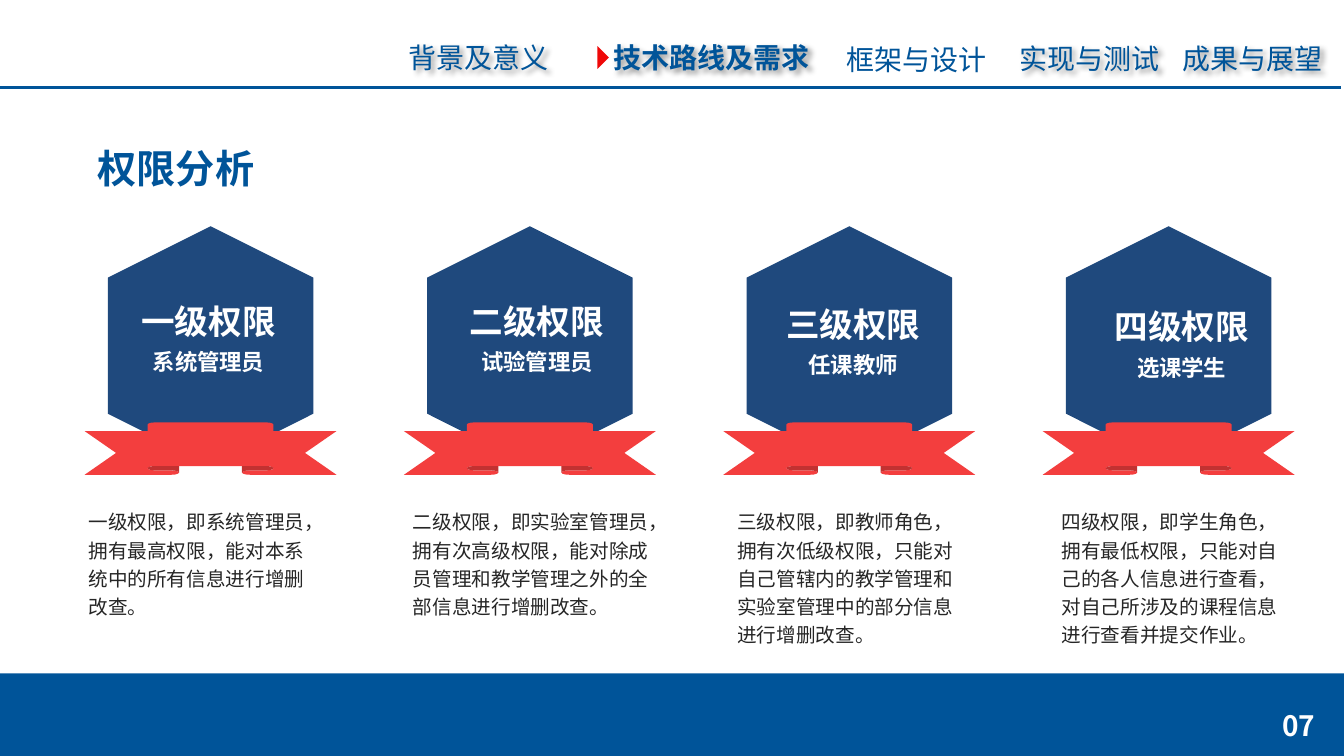
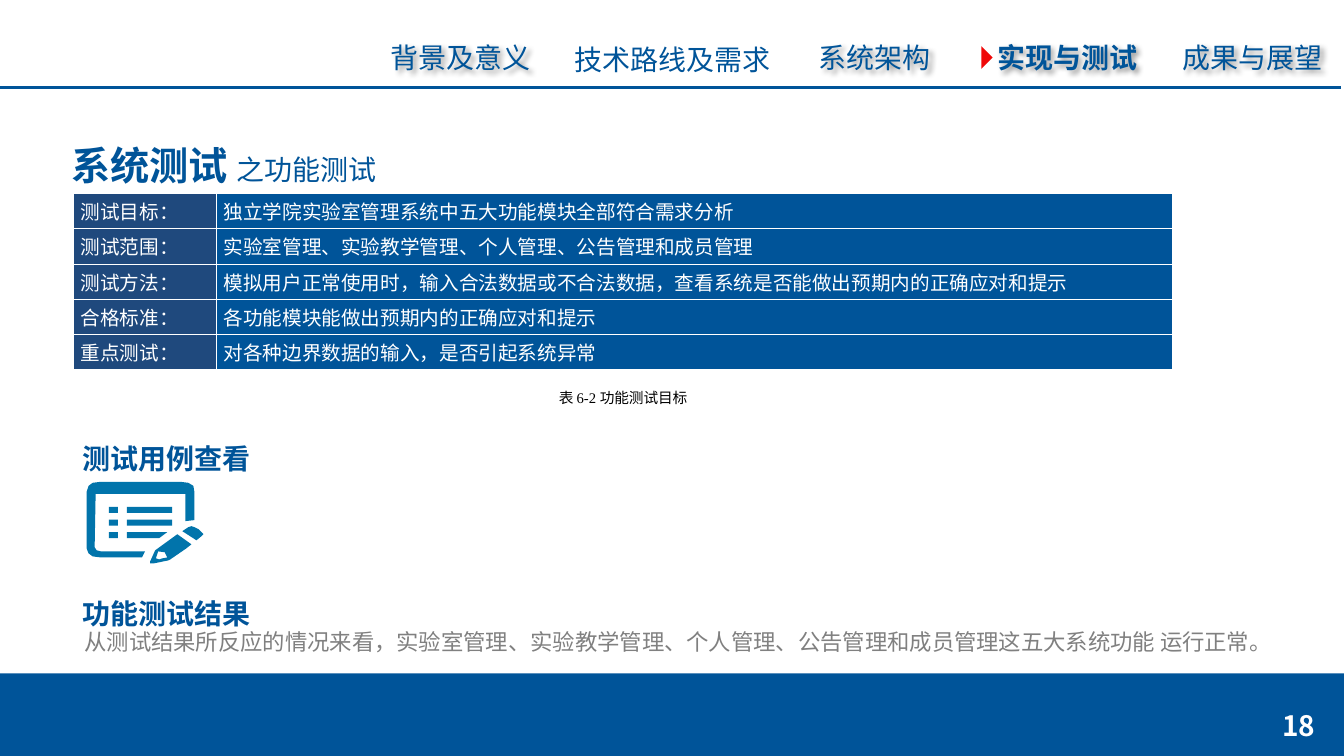
from dataclasses import dataclass

from lxml import etree
from pptx import Presentation
from pptx.dml.color import RGBColor
from pptx.enum.lang import MSO_LANGUAGE_ID
from pptx.enum.shapes import MSO_CONNECTOR, MSO_SHAPE
from pptx.enum.text import MSO_ANCHOR, MSO_AUTO_SIZE, PP_ALIGN
from pptx.oxml import parse_xml
from pptx.oxml.ns import nsdecls, qn
from pptx.util import Inches, Pt

RECTANGLE, HEXAGON = MSO_SHAPE.RECTANGLE, MSO_SHAPE.HEXAGON
RIBBON, TRIANGLE = MSO_SHAPE.UP_RIBBON, MSO_SHAPE.RIGHT_TRIANGLE
LEFT, CENTER = PP_ALIGN.LEFT, PP_ALIGN.CENTER
TOP, MIDDLE = MSO_ANCHOR.TOP, MSO_ANCHOR.MIDDLE
CHINESE = MSO_LANGUAGE_ID.SIMPLIFIED_CHINESE

SLIDE_WIDTH, SLIDE_HEIGHT = 13.34, 7.5
BAND_HEIGHT = 0.82
FONT = "Noto Sans CJK SC"
BLUE, NAVY, RED, MARKER_RED = "005499", "1F497D", "F33E3E", "EF0808"
ICON_BLUE, DARK, GREY, BLACK, WHITE = "0174AB", "262626", "808080", "000000", "FFFFFF"
NAVIGATION_SIZE = 20

CARD_LEFT, CARD_PITCH = 0.84, 3.17
DESCRIPTION_LEFT, DESCRIPTION_PITCH = 0.78, 3.22
HEXAGON_LENGTH, HEXAGON_BREADTH = 2.37, 2.04
RIBBON_WIDTH, RIBBON_HEIGHT = 2.5, 0.52
LABEL_WIDTH = 2.14


@dataclass(frozen=True)
class Box:
    left: float
    top: float
    width: float
    height: float

    def lengths(self):
        return [Inches(n) for n in (self.left, self.top, self.width, self.height)]


@dataclass(frozen=True)
class Style:
    size: float
    color: str = BLUE
    bold: bool = False
    font: str = FONT
    align: PP_ALIGN = LEFT
    spacing: float | None = None
    before: float | None = None


@dataclass(frozen=True)
class NavigationItem:
    text: str
    left: float
    top: float = 0.35
    active: bool = False
    shadow: bool = True


@dataclass(frozen=True)
class Card:
    level: str
    role: str
    label_center: float
    label_top: float
    description: tuple[str, str]
    description_width: float


TITLE = Style(28, bold=True, spacing=38)
SUBHEADING = Style(20, bold=True, spacing=38)
LEVEL = Style(24, WHITE, True, align=CENTER)
ROLE = Style(16, WHITE, True, align=CENTER, before=5)
DESCRIPTION = Style(14, DARK, spacing=20)
CELL = Style(14, WHITE, spacing=20)
CAPTION = Style(10.5, BLACK, font="Times New Roman", align=CENTER, spacing=20)
RESULT = Style(16, GREY, font="Arial")
PAGE_NUMBER = Style(20, WHITE, True, align=CENTER)

ANALYSIS_NAVIGATION = (
    NavigationItem("背景及意义", 3.96),
    NavigationItem("技术路线及需求", 5.99, active=True),
    NavigationItem("框架与设计", 8.3, 0.37, shadow=False),
    NavigationItem("实现与测试", 10.02, 0.36),
    NavigationItem("成果与展望", 11.64, 0.36),
)
TESTING_NAVIGATION = (
    NavigationItem("背景及意义", 3.78),
    NavigationItem("技术路线及需求", 5.6, 0.37, shadow=False),
    NavigationItem("系统架构", 8.03),
    NavigationItem("实现与测试", 9.8, active=True),
    NavigationItem("成果与展望", 11.64),
)
CARDS = (
    Card("一级权限", "系统管理员", 2.07, 2.94,
         ("一级权限，即系统管理员，", "拥有最高权限，能对本系统中的所有信息进行增删改查。"), 2.44),
    Card("二级权限", "试验管理员", 5.33, 2.94,
         ("二级权限，即实验室管理员，",
          "拥有次高级权限，能对除成员管理和教学管理之外的全部信息进行增删改查。"), 2.58),
    Card("三级权限", "任课教师", 8.47, 2.97,
         ("三级权限，即教师角色，",
          "拥有次低级权限，只能对自己管辖内的教学管理和实验室管理中的部分信息进行增删改查。"), 2.37),
    Card("四级权限", "选课学生", 11.73, 2.99,
         ("四级权限，即学生角色，",
          "拥有最低权限，只能对自己的各人信息进行查看，对自己所涉及的课程信息进行查看并提交作业。"), 2.37),
)
TEST_GOALS = (
    ("测试目标：", "独立学院实验室管理系统中五大功能模块全部符合需求分析"),
    ("测试范围：", "实验室管理、实验教学管理、个人管理、公告管理和成员管理"),
    ("测试方法：", "模拟用户正常使用时，输入合法数据或不合法数据，查看系统是否能做出预期内的正确应对和提示"),
    ("合格标准：", "各功能模块能做出预期内的正确应对和提示"),
    ("重点测试：", "对各种边界数据的输入，是否引起系统异常"),
)
TABLE_BOX = Box(0.73, 1.92, 10.91, 1.75)
TABLE_COLUMNS = (1.42, 9.49)

ICON_BOARD = (
    (1.44, 5.47), (1.41, 5.53), (1, 5.53), (0.92, 5.52), (0.88, 5.49), (0.86, 5.44),
    (0.86, 4.88), (0.88, 4.82), (0.92, 4.79), (1, 4.78), (1.79, 4.78), (1.87, 4.79),
    (1.92, 4.82), (1.93, 4.88), (1.93, 5.16), (1.84, 5.17), (1.84, 4.9), (0.95, 4.9),
    (0.94, 5.43), (0.96, 5.46), (1, 5.47),
)
ICON_PENCIL = (
    (1.76, 5.3), (1.9, 5.4), (1.85, 5.44), (1.69, 5.55), (1.67, 5.56), (1.52, 5.59),
    (1.49, 5.59), (1.49, 5.57), (1.54, 5.46),
)
ICON_PENCIL_TIP = (
    (1.57, 5.47), (1.55, 5.53), (1.55, 5.54), (1.58, 5.55), (1.61, 5.54), (1.66, 5.53),
    (1.64, 5.49), (1.64, 5.48),
)
ICON_PENCIL_END = (
    (1.81, 5.27), (1.87, 5.23), (1.9, 5.22), (1.93, 5.23), (1.97, 5.25), (2, 5.28),
    (2.02, 5.3), (2, 5.32), (1.95, 5.36),
)
ICON_LAST_LINE = ((1.26, 5.28), (1.66, 5.28), (1.58, 5.34), (1.26, 5.34))


def rgb(color: str) -> RGBColor:
    return RGBColor.from_string(color)


def format_paragraph(paragraph, style: Style) -> None:
    paragraph.alignment = style.align
    if style.spacing:
        paragraph.line_spacing = Pt(style.spacing)
    if style.before:
        paragraph.space_before = Pt(style.before)
    font = paragraph.font
    font.size, font.bold, font.name = Pt(style.size), style.bold, style.font
    font.color.rgb = rgb(style.color)
    font.language_id = CHINESE
    latin = paragraph._p.pPr.find(qn("a:defRPr")).find(qn("a:latin"))
    latin.addnext(parse_xml(f'<a:ea {nsdecls("a")} typeface="{FONT}"/>'))


def write(text_frame, *lines: tuple[str, Style], anchor=TOP) -> None:
    text_frame.word_wrap = True
    text_frame.auto_size = MSO_AUTO_SIZE.NONE
    text_frame.vertical_anchor = anchor
    for index, (text, style) in enumerate(lines):
        paragraph = text_frame.add_paragraph() if index else text_frame.paragraphs[0]
        paragraph.text = text
        format_paragraph(paragraph, style)


def add_text(slide, box: Box, *lines: tuple[str, Style]):
    shape = slide.shapes.add_textbox(*box.lengths())
    write(shape.text_frame, *lines)
    return shape


def paint(shape, color: str) -> None:
    shape.shadow.inherit = False
    shape.fill.solid()
    shape.fill.fore_color.rgb = rgb(color)
    shape.line.fill.background()


def add_filled(slide, preset, box: Box, color: str, rotation: float = 0):
    shape = slide.shapes.add_shape(preset, *box.lengths())
    paint(shape, color)
    shape.rotation = rotation
    return shape


def add_outline(slide, color: str, *contours) -> None:
    """Draw one filled freeform; contours after the first cut holes."""
    outer, *holes = [[(Inches(x), Inches(y)) for x, y in contour] for contour in contours]
    builder = slide.shapes.build_freeform(*outer[0])
    builder.add_line_segments(outer[1:])
    for hole in holes:
        builder.move_to(*hole[0])
        builder.add_line_segments(hole[1:])
    paint(builder.convert_to_shape(), color)


def add_text_shadow(shape) -> None:
    shape._element.spPr.append(parse_xml(
        f'<a:effectLst {nsdecls("a")}><a:outerShdw blurRad="50800" dist="38100" dir="2700000">'
        '<a:srgbClr val="000000"><a:alpha val="40000"/></a:srgbClr></a:outerShdw></a:effectLst>'))


def add_navigation(slide, items: tuple[NavigationItem, ...]) -> None:
    for item in items:
        width = len(item.text) * NAVIGATION_SIZE / 72 + 0.25
        shape = add_text(slide, Box(item.left, item.top, width, 0.44),
                         (item.text, Style(NAVIGATION_SIZE, bold=item.active)))
        if item.shadow:
            add_text_shadow(shape)
        if item.active:
            add_filled(slide, TRIANGLE, Box(item.left - 0.14, 0.49, 0.16, 0.16), MARKER_RED, 225)


def add_base_slide(presentation, navigation, title: str, title_box: Box, page: str):
    """Add a slide with the shared rule, band, navigation, title and page number."""
    slide = presentation.slides.add_slide(presentation.slide_layouts.get_by_name("Title Only"))
    rule = slide.shapes.add_connector(
        MSO_CONNECTOR.STRAIGHT, 0, Inches(0.87), Inches(13.31), Inches(0.87))
    rule.line.color.rgb, rule.line.width = rgb(BLUE), Pt(2.5)
    etree.SubElement(rule._element.spPr, qn("a:effectLst"))
    add_filled(slide, RECTANGLE,
               Box(0, SLIDE_HEIGHT - BAND_HEIGHT, SLIDE_WIDTH, BAND_HEIGHT), BLUE)
    add_navigation(slide, navigation)
    heading = slide.shapes.title
    heading.left, heading.top, heading.width, heading.height = title_box.lengths()
    write(heading.text_frame, (title, TITLE))
    corner = add_filled(slide, RECTANGLE,
                        Box(SLIDE_WIDTH - 0.9, SLIDE_HEIGHT - 0.6, 0.9, 0.6), BLUE)
    write(corner.text_frame, (page, PAGE_NUMBER), anchor=MIDDLE)
    return slide


def add_card(slide, index: int, card: Card) -> None:
    left = CARD_LEFT + index * CARD_PITCH
    hexagon_left = left + (RIBBON_WIDTH - HEXAGON_LENGTH) / 2
    add_filled(slide, HEXAGON, Box(hexagon_left, 2.41, HEXAGON_LENGTH, HEXAGON_BREADTH), NAVY, 90)
    add_filled(slide, RIBBON, Box(left, 4.19, RIBBON_WIDTH, RIBBON_HEIGHT), RED)
    add_text(slide, Box(card.label_center - LABEL_WIDTH / 2, card.label_top, LABEL_WIDTH, 0.84),
             (card.level, LEVEL), (card.role, ROLE))
    add_text(slide, Box(DESCRIPTION_LEFT + index * DESCRIPTION_PITCH, 4.97,
                        card.description_width, 1.63),
             *((line, DESCRIPTION) for line in card.description))


def add_borders(cell, color: str) -> None:
    properties = cell._tc.get_or_add_tcPr()
    for side in "LRTB":
        properties.append(parse_xml(
            f'<a:ln{side} {nsdecls("a")} w="12700"><a:solidFill>'
            f'<a:srgbClr val="{color}"/></a:solidFill></a:ln{side}>'))


def add_goal_table(slide) -> None:
    table = slide.shapes.add_table(
        len(TEST_GOALS), len(TABLE_COLUMNS), *TABLE_BOX.lengths()).table
    table.first_row = table.horz_banding = False
    for column, width in zip(table.columns, TABLE_COLUMNS):
        column.width = Inches(width)
    for row, texts in enumerate(TEST_GOALS):
        for column, (text, color) in enumerate(zip(texts, (NAVY, BLUE))):
            cell = table.cell(row, column)
            cell.margin_left = cell.margin_right = Inches(0.07)
            cell.margin_top = cell.margin_bottom = 0
            cell.vertical_anchor = MIDDLE
            add_borders(cell, WHITE)
            cell.fill.solid()
            cell.fill.fore_color.rgb = rgb(color)
            paragraph = cell.text_frame.paragraphs[0]
            paragraph.text = text
            format_paragraph(paragraph, CELL)


def add_checklist_icon(slide) -> None:
    add_outline(slide, ICON_BLUE, ICON_BOARD)
    add_outline(slide, ICON_BLUE, ICON_PENCIL, ICON_PENCIL_TIP)
    add_outline(slide, ICON_BLUE, ICON_PENCIL_END)
    add_outline(slide, ICON_BLUE, ICON_LAST_LINE)
    for row in range(3):
        top = 5.03 + row * 0.125
        add_filled(slide, RECTANGLE, Box(1.08, top, 0.09, 0.06), ICON_BLUE)
        if row < 2:
            add_filled(slide, RECTANGLE, Box(1.26, top, 0.45, 0.06), ICON_BLUE)


def build_analysis_slide(presentation) -> None:
    slide = add_base_slide(presentation, ANALYSIS_NAVIGATION, "权限分析",
                           Box(0.87, 1.32, 4, 0.63), "07")
    for index, card in enumerate(CARDS):
        add_card(slide, index, card)


def build_testing_slide(presentation) -> None:
    slide = add_base_slide(presentation, TESTING_NAVIGATION, "系统测试 ",
                           Box(0.61, 1.29, 4, 0.59), "18")
    subtitle = slide.shapes.title.text_frame.paragraphs[0].add_run()
    subtitle.text = "之功能测试"
    subtitle.font.size, subtitle.font.bold = Pt(20), False
    add_goal_table(slide)
    caption = add_text(slide, Box(TABLE_BOX.left, 3.75, TABLE_BOX.width, 0.44),
                       ("表 6-2 功能测试目标", CAPTION))
    caption.text_frame.margin_top = caption.text_frame.margin_bottom = 0
    for text, top in (("测试用例查看", 4.14), ("功能测试结果", 5.67)):
        add_text(slide, Box(0.72, top, 2.2, 0.57), (text, SUBHEADING))
    add_text(slide, Box(0.74, 6.18, 12.4, 0.37),
             ("从测试结果所反应的情况来看，实验室管理、实验教学管理、个人管理、"
              "公告管理和成员管理这五大系统功能 运行正常。", RESULT))
    add_checklist_icon(slide)


def main() -> None:
    presentation = Presentation()
    presentation.slide_width, presentation.slide_height = Inches(SLIDE_WIDTH), Inches(SLIDE_HEIGHT)
    build_analysis_slide(presentation)
    build_testing_slide(presentation)
    presentation.save("out.pptx")


if __name__ == "__main__":
    main()
